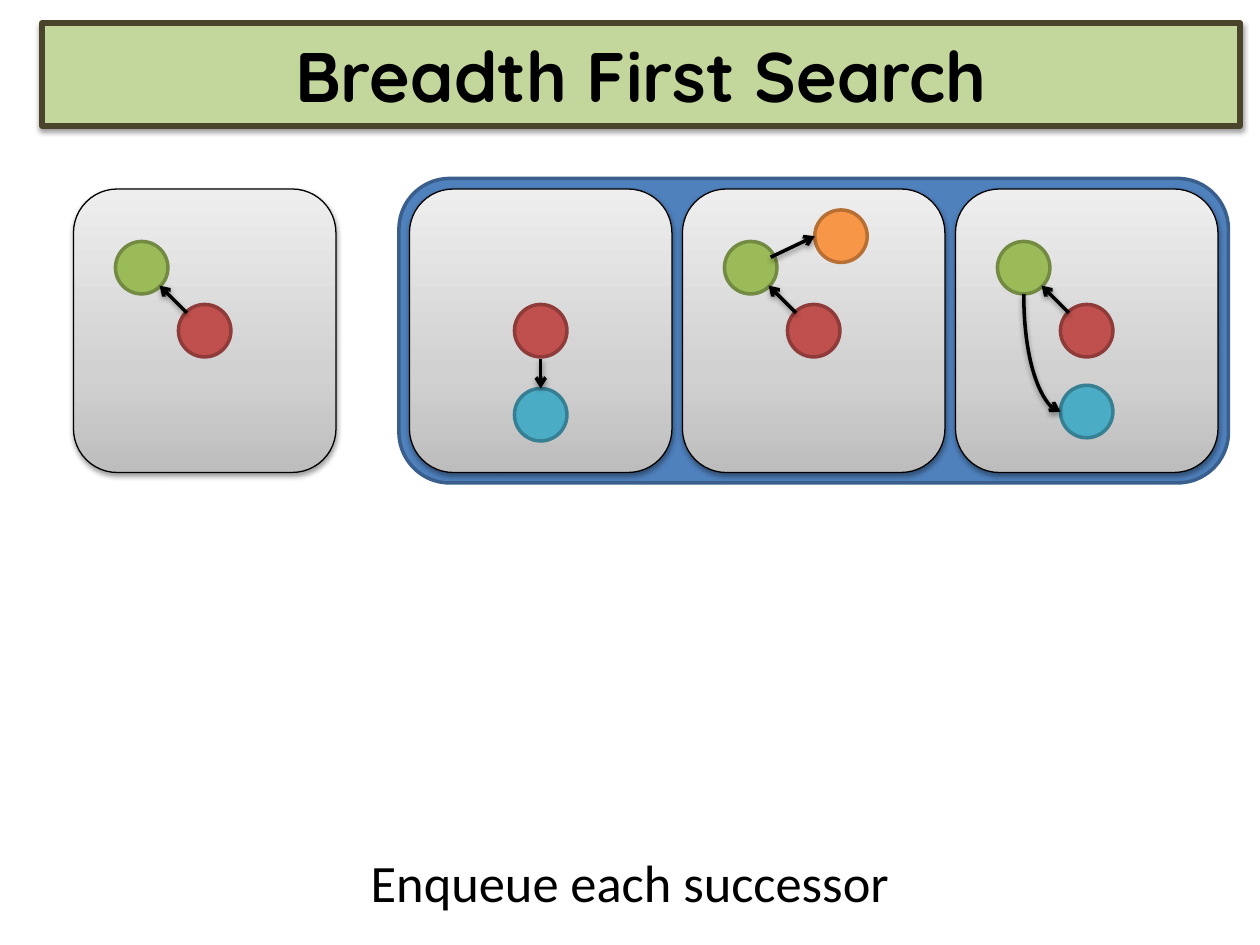
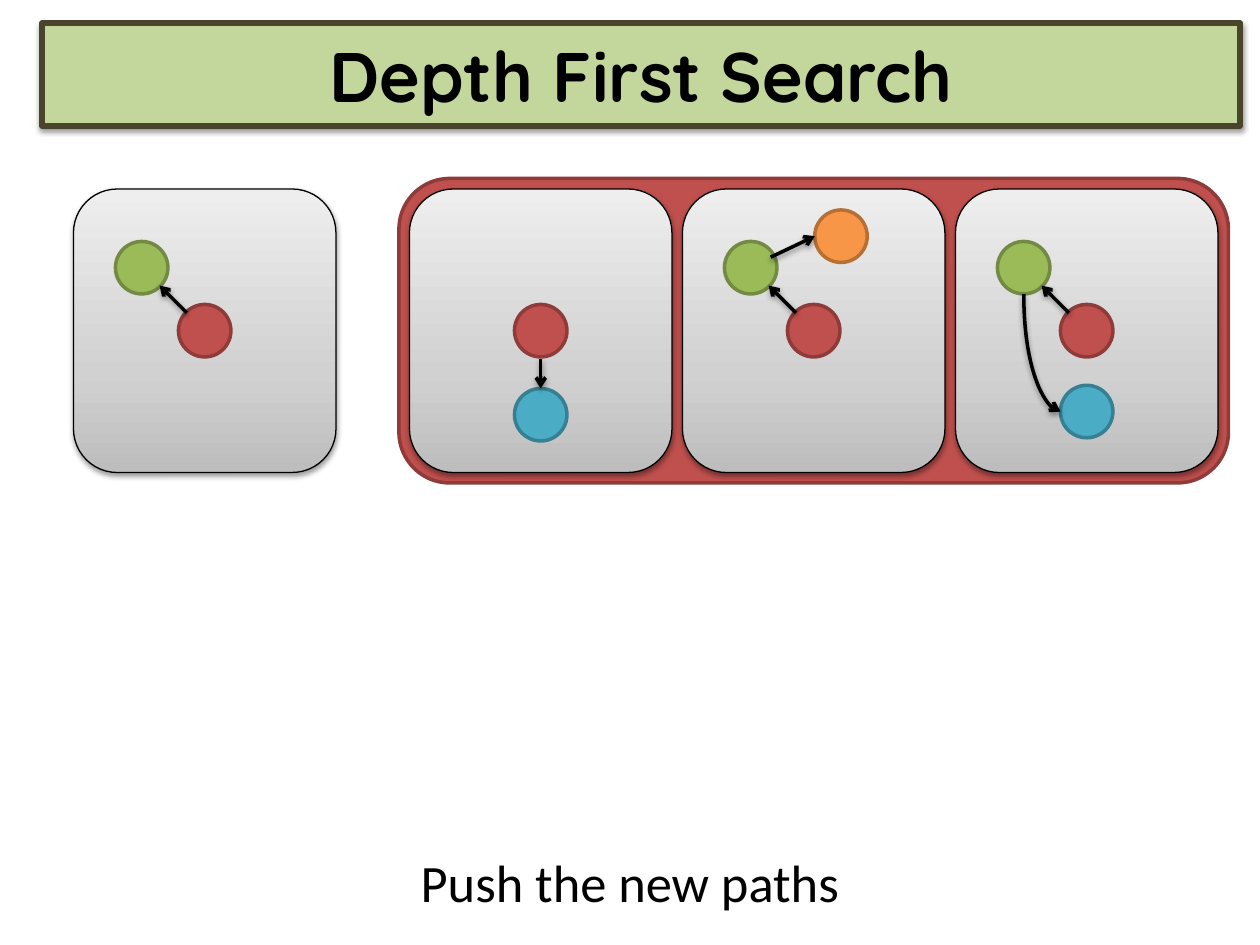
import copy

import pptx
import pptx.dml.color
import pptx.enum.shapes
import pptx.enum.text
import pptx.oxml
import pptx.oxml.ns
import pptx.util

SHAPE = pptx.enum.shapes.MSO_SHAPE
CONNECTOR = pptx.enum.shapes.MSO_CONNECTOR
ANCHOR = pptx.enum.text.MSO_ANCHOR
qn = pptx.oxml.ns.qn

# Content: title, caption, colour of the frontier holding the new paths
SLIDES = [
    ("Breadth First Search", "Enqueue each successor", "blue"),
    ("Depth First Search", "Push the new paths", "red"),
]

# Each path: nodes (colour, x, y) and arrows (kind, x1, y1, x2, y2), in px from its panel
ROOT = ("red", 100, 110)
CHILD = ("green", 40, 50)
ROOT_TO_CHILD = ("straight", 108, 118, 82, 92)
EXPANDED_PATH = ([ROOT, CHILD], [ROOT_TO_CHILD])
NEW_PATHS = [
    ([ROOT, ("teal", 100, 190)], [("straight", 125, 162, 125, 190)]),
    ([ROOT, CHILD, ("orange", 126, 20)], [ROOT_TO_CHILD, ("straight", 84, 65, 126, 45)]),
    ([ROOT, CHILD, ("teal", 100, 187)], [ROOT_TO_CHILD, ("curved", 65, 100, 100, 212)]),
]

# Fill and outline
PALETTE = {
    "red": ("C0504D", "8E3B39"),
    "green": ("9BBB59", "738A42"),
    "teal": ("4BACC6", "377F92"),
    "orange": ("F79646", "B76F34"),
    "blue": ("4F81BD", "3A5F8C"),
    "banner": ("C3D69B", "4A452A"),
}
BLACK = "000000"
PANEL_STOPS = [(0, "BDBDBD"), (0.35, "D1D1D1"), (1, "EEEEEE")]

# Layout in px, 120 to the inch
PX = 7620
SLIDE_W, SLIDE_H = 1200, 900
BANNER = (40, 22, 1141, 98)
CAPTION = (0, 804, SLIDE_W, 73)
PANEL_W, PANEL_H, PANEL_TOP = 250, 270, 180
EXPANDED_LEFT, FRONTIER_LEFT = 70, 390
PANEL_GAP, FRONTIER_PAD = 10, 10
NODE = 50

SHADOW = (
    '<a:outerShdw xmlns:a="http://schemas.openxmlformats.org/drawingml/2006/main" '
    'blurRad="40000" dist="20000" dir="5400000" rotWithShape="0">'
    '<a:srgbClr val="000000"><a:alpha val="38000"/></a:srgbClr></a:outerShdw>'
)


def px(*lengths):
    return [round(length * PX) for length in lengths]


def rgb(value):
    return pptx.dml.color.RGBColor.from_string(value)


def set_line(shape, color, points):
    shape.line.color.rgb = rgb(color)
    shape.line.width = pptx.util.Pt(points)


def add_shadow(shape):
    """Drop a soft shadow; the line must already be set."""
    properties = shape._element.spPr
    effects = properties.find(qn("a:effectLst"))
    if effects is None:
        effects = properties.makeelement(qn("a:effectLst"), {})
        properties.append(effects)
    effects.append(pptx.oxml.parse_xml(SHADOW))


def add_block(slide, preset, box, colors, points):
    block = slide.shapes.add_shape(preset, *px(*box))
    fill, outline = colors
    block.fill.solid()
    block.fill.fore_color.rgb = rgb(fill)
    set_line(block, outline, points)
    block.shadow.inherit = False
    return block


def write(frame, text, font, size, bold=False):
    frame.word_wrap = True
    paragraph = frame.paragraphs[0]
    paragraph.alignment = pptx.enum.text.PP_ALIGN.CENTER
    run = paragraph.add_run()
    run.text = text
    run.font.name = font
    run.font.size = pptx.util.Pt(size)
    run.font.bold = bold
    run.font.color.rgb = rgb(BLACK)


def add_arrow(slide, kind, x1, y1, x2, y2):
    if kind == "straight":
        arrow = slide.shapes.add_connector(CONNECTOR.STRAIGHT, *px(x1, y1, x2, y2))
    else:
        # A quarter bend that leaves downwards: its frame is turned by 270 degrees
        mid_x, mid_y = (x1 + x2) / 2, (y1 + y2) / 2
        half_w, half_h = (y2 - y1) / 2, (x2 - x1) / 2
        arrow = slide.shapes.add_connector(
            CONNECTOR.CURVE,
            *px(mid_x + half_w, mid_y - half_h, mid_x - half_w, mid_y + half_h))
        properties = arrow._element.spPr
        properties.find(qn("a:xfrm")).set("rot", "16200000")
        properties.find(qn("a:prstGeom")).set("prst", "curvedConnector2")
    set_line(arrow, BLACK, 2)
    line = arrow._element.spPr.find(qn("a:ln"))
    line.append(line.makeelement(qn("a:tailEnd"), {"type": "arrow"}))
    add_shadow(arrow)


def add_path(slide, left, path):
    """Draw one search path on its grey panel."""
    panel = add_block(slide, SHAPE.ROUNDED_RECTANGLE, (left, PANEL_TOP, PANEL_W, PANEL_H),
                      (BLACK, BLACK), 0.75)
    panel.fill.gradient()
    panel.fill.gradient_angle = 90
    stops = panel._element.spPr.find(".//" + qn("a:gsLst"))
    stops.append(copy.deepcopy(stops[0]))
    for stop, (position, color) in zip(panel.fill.gradient_stops, PANEL_STOPS):
        stop.position = position
        stop.color.rgb = rgb(color)
    add_shadow(panel)

    nodes, arrows = path
    for color, x, y in nodes:
        add_block(slide, SHAPE.OVAL, (left + x, PANEL_TOP + y, NODE, NODE), PALETTE[color], 2)
    for kind, x1, y1, x2, y2 in arrows:
        add_arrow(slide, kind, left + x1, PANEL_TOP + y1, left + x2, PANEL_TOP + y2)


def add_search_slide(deck, title, caption, frontier_color):
    slide = deck.slides.add_slide(deck.slide_layouts[6])
    step = PANEL_W + PANEL_GAP
    frontier = (FRONTIER_LEFT - FRONTIER_PAD, PANEL_TOP - FRONTIER_PAD,
                len(NEW_PATHS) * step - PANEL_GAP + 2 * FRONTIER_PAD,
                PANEL_H + 2 * FRONTIER_PAD)
    add_block(slide, SHAPE.ROUNDED_RECTANGLE, frontier, PALETTE[frontier_color], 2)
    add_path(slide, EXPANDED_LEFT, EXPANDED_PATH)
    for i, path in enumerate(NEW_PATHS):
        add_path(slide, FRONTIER_LEFT + i * step, path)

    banner = add_block(slide, SHAPE.RECTANGLE, BANNER, PALETTE["banner"], 3)
    add_shadow(banner)
    banner.text_frame.vertical_anchor = ANCHOR.MIDDLE
    write(banner.text_frame, title, "Quicksand", 40, bold=True)

    note = slide.shapes.add_textbox(*px(*CAPTION)).text_frame
    write(note, caption, "Calibri", 30)
    note.auto_size = pptx.enum.text.MSO_AUTO_SIZE.SHAPE_TO_FIT_TEXT


def main():
    deck = pptx.Presentation()
    deck.slide_width, deck.slide_height = px(SLIDE_W, SLIDE_H)
    for title, caption, frontier_color in SLIDES:
        add_search_slide(deck, title, caption, frontier_color)
    deck.save("out.pptx")


if __name__ == "__main__":
    main()
